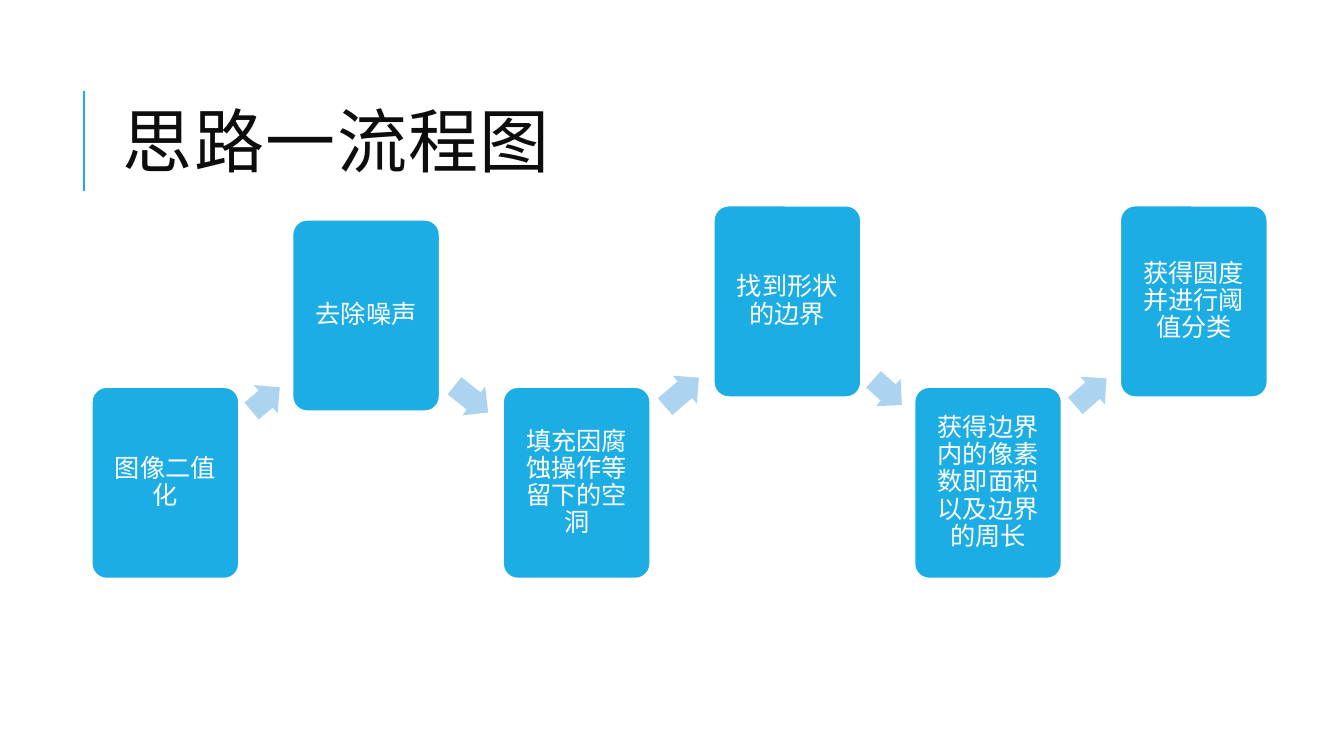
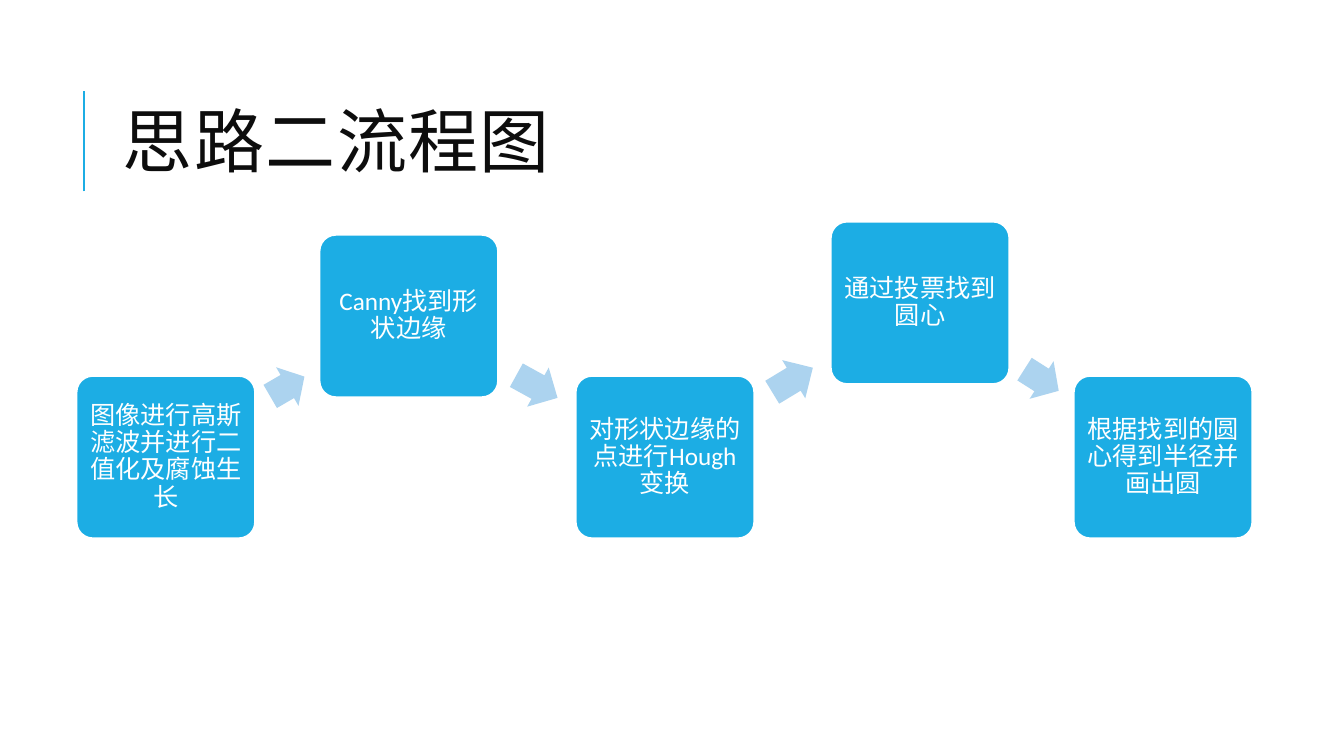
from dataclasses import dataclass
from itertools import pairwise
from math import atan2, cos, degrees

from pptx import Presentation
from pptx.dml.color import RGBColor
from pptx.enum.shapes import MSO_CONNECTOR, MSO_SHAPE
from pptx.enum.text import MSO_ANCHOR, MSO_AUTO_SIZE, PP_ALIGN
from pptx.oxml.ns import qn
from pptx.oxml.xmlchemy import OxmlElement
from pptx.util import Inches, Pt

STRAIGHT = MSO_CONNECTOR.STRAIGHT
ROUNDED, ARROW = MSO_SHAPE.ROUNDED_RECTANGLE, MSO_SHAPE.RIGHT_ARROW
MIDDLE, NO_FIT = MSO_ANCHOR.MIDDLE, MSO_AUTO_SIZE.NONE
LEFT, CENTER = PP_ALIGN.LEFT, PP_ALIGN.CENTER

SLIDE_W, SLIDE_H = Inches(13.33), Inches(7.5)
TITLE_ONLY = 5


@dataclass(frozen=True)
class Theme:
    accent: RGBColor = RGBColor(0x1C, 0xAD, 0xE4)
    pale: RGBColor = RGBColor(0xAC, 0xD3, 0xEF)
    white: RGBColor = RGBColor(0xFF, 0xFF, 0xFF)
    ink: RGBColor = RGBColor(0x0D, 0x0D, 0x0D)
    title_font: str = "Cabin"
    step_font: str = "Calibri"
    title_size: int = 50
    step_size: int = 18
    rule_width: float = 1.5
    outline_width: float = 1.25


THEME = Theme()


# Positions and sizes are percentages of the slide's width and height
@dataclass(frozen=True)
class Step:
    left: float
    top: float
    label: str


@dataclass(frozen=True)
class Flow:
    title: str
    step_width: float
    step_height: float
    steps: tuple[Step, ...]


FLOWS = (
    Flow("思路一流程图", 10.95, 25.33, (
        Step(6.83, 51.2, "图像二值化"),
        Step(21.76, 29.07, "去除噪声"),
        Step(37.43, 51.2, "填充因腐蚀操作等留下的空洞"),
        Step(53.11, 27.2, "找到形状的边界"),
        Step(68.04, 51.2, "获得边界内的像素数即面积以及边界的周长"),
        Step(83.35, 27.2, "获得圆度并进行阈值分类"),
    )),
    Flow("思路二流程图", 13.28, 21.47, (
        Step(5.7, 49.73, "图像进行高斯滤波并进行二值化及腐蚀生长"),
        Step(23.78, 31.07, "Canny找到形状边缘"),
        Step(42.84, 49.73, "对形状边缘的点进行Hough变换"),
        Step(61.82, 29.33, "通过投票找到圆心"),
        Step(79.9, 49.73, "根据找到的圆心得到半径并画出圆"),
    )),
)


def across(percent: float) -> int:
    return round(SLIDE_W * percent / 100)


def down(percent: float) -> int:
    return round(SLIDE_H * percent / 100)


def style_text(paragraph, font: str, size: int, color: RGBColor,
               align: PP_ALIGN, line_spacing: float) -> None:
    paragraph.alignment = align
    paragraph.line_spacing = line_spacing
    paragraph.font.name = font
    paragraph.font.size = Pt(size)
    paragraph.font.color.rgb = color


def place_title_on_layout(layout) -> None:
    title = layout.placeholders[0]
    title.left, title.top = across(8.4), down(8.53)
    title.width, title.height = across(79.74), down(21.87)


def add_heading(slide, text: str) -> None:
    # Vertical rule beside the title
    rule = slide.shapes.add_connector(
        STRAIGHT, across(6.23), down(25.33), across(6.23), down(12))
    rule.line.color.rgb = THEME.accent
    rule.line.width = Pt(THEME.rule_width)
    rule._element.spPr.append(OxmlElement("a:effectLst"))

    # Title with slightly spaced letters
    frame = slide.shapes.title.text_frame
    frame.text = text
    frame.vertical_anchor = MIDDLE
    frame.auto_size = NO_FIT
    paragraph = frame.paragraphs[0]
    style_text(paragraph, THEME.title_font, THEME.title_size, THEME.ink, LEFT, 0.8)
    paragraph._p.pPr.find(qn("a:defRPr")).set("spc", "100")


def add_step(slide, step: Step, flow: Flow):
    box = slide.shapes.add_shape(
        ROUNDED, across(step.left), down(step.top),
        across(flow.step_width), down(flow.step_height))
    box.adjustments[0] = 0.1
    box.shadow.inherit = False
    box.fill.solid()
    box.fill.fore_color.rgb = THEME.accent
    box.line.color.rgb = THEME.white
    box.line.width = Pt(THEME.outline_width)

    frame = box.text_frame
    frame.text = step.label
    frame.word_wrap = True
    frame.vertical_anchor = MIDDLE
    frame.margin_left = frame.margin_right = Inches(0.07)
    frame.margin_top = frame.margin_bottom = Inches(0.07)
    style_text(frame.paragraphs[0], THEME.step_font, THEME.step_size,
               THEME.white, CENTER, 0.9)
    return box


def add_arrow(slide, start, end) -> None:
    """Centre an arrow between two equal boxes, aimed from one to the other."""
    run, rise = end.left - start.left, end.top - start.top
    angle = atan2(rise, run)
    gap = (run - start.width) / cos(angle)
    length, thickness = round(gap * 0.53), round(start.width * 0.25)
    center_x = (start.left + end.left + start.width) / 2
    center_y = (start.top + end.top + start.height) / 2
    arrow = slide.shapes.add_shape(
        ARROW, round(center_x - length / 2), round(center_y - thickness / 2),
        length, thickness)
    arrow.adjustments[0], arrow.adjustments[1] = 0.6, 0.5
    arrow.rotation = degrees(angle) % 360
    arrow.shadow.inherit = False
    arrow.fill.solid()
    arrow.fill.fore_color.rgb = THEME.pale
    arrow.line.fill.background()


def add_flow_slide(deck, layout, flow: Flow) -> None:
    slide = deck.slides.add_slide(layout)
    add_heading(slide, flow.title)
    boxes = [add_step(slide, step, flow) for step in flow.steps]
    for start, end in pairwise(boxes):
        add_arrow(slide, start, end)


def main() -> None:
    deck = Presentation()
    deck.slide_width, deck.slide_height = SLIDE_W, SLIDE_H
    layout = deck.slide_layouts[TITLE_ONLY]
    place_title_on_layout(layout)
    for flow in FLOWS:
        add_flow_slide(deck, layout, flow)
    deck.save("out.pptx")


if __name__ == "__main__":
    main()
